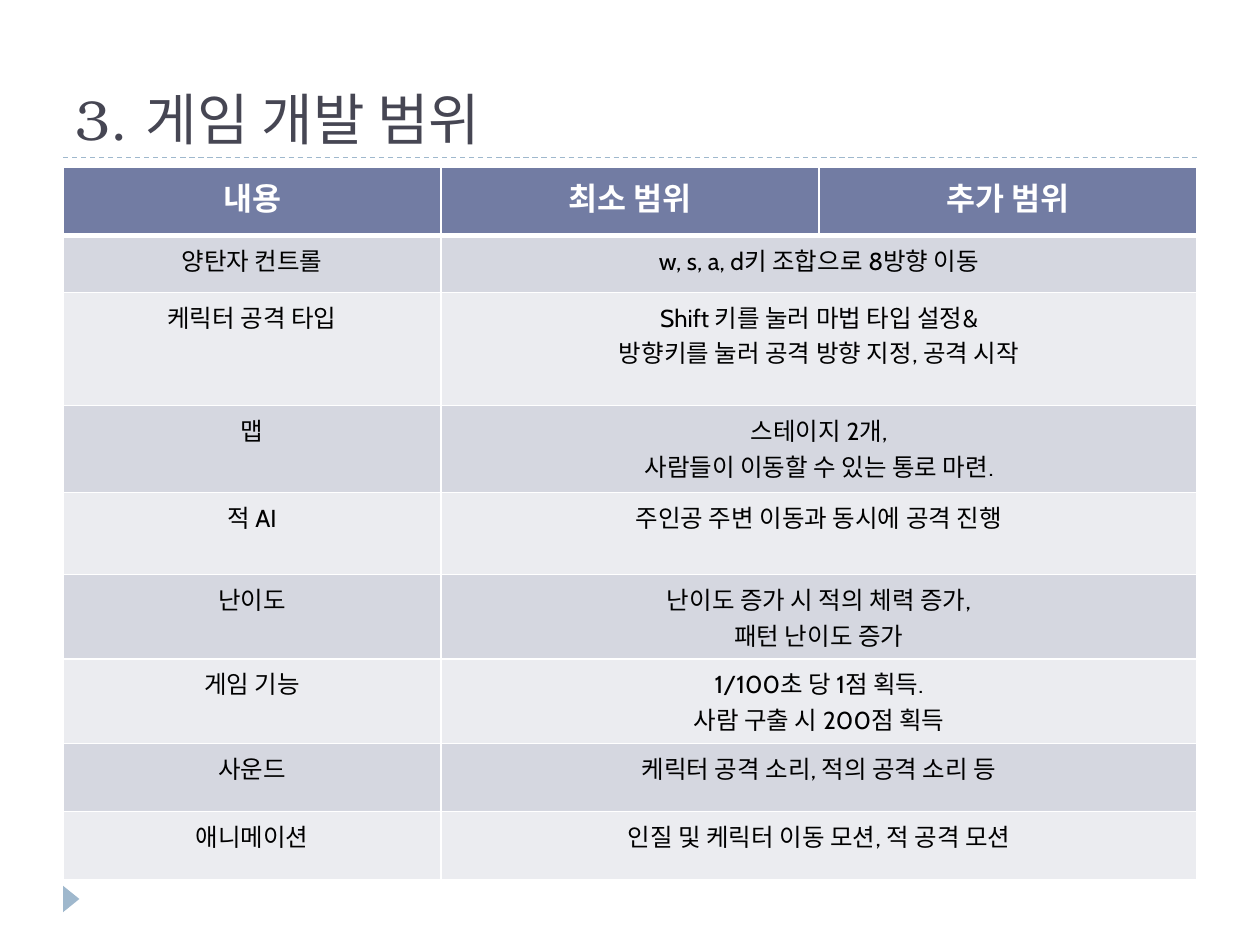
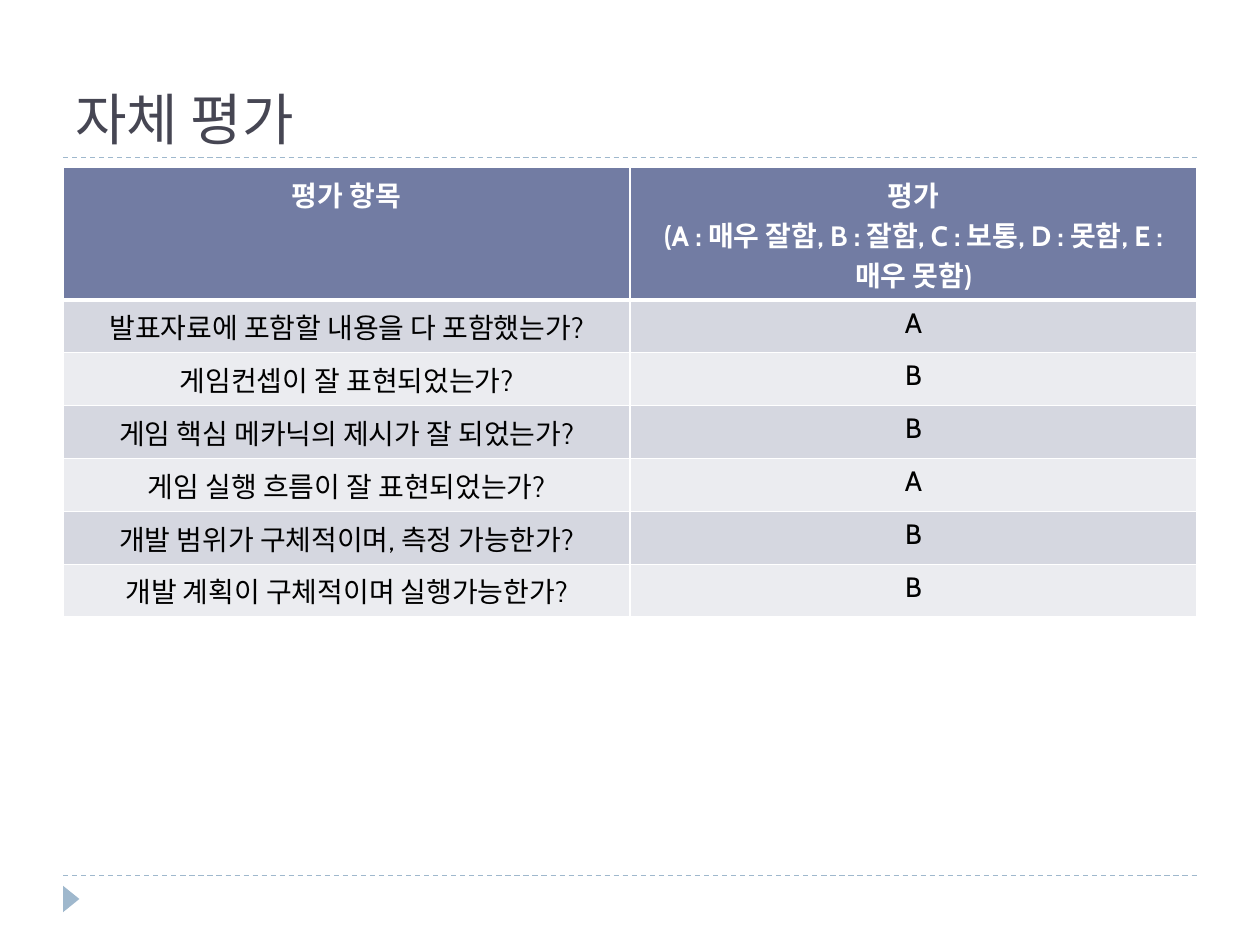
from dataclasses import dataclass

from lxml.etree import SubElement
from pptx import Presentation
from pptx.dml.color import RGBColor
from pptx.enum.dml import MSO_LINE
from pptx.enum.shapes import MSO_CONNECTOR, MSO_SHAPE
from pptx.enum.text import MSO_ANCHOR, PP_ALIGN
from pptx.oxml.ns import qn
from pptx.util import Inches, Pt


@dataclass(frozen=True)
class Theme:
    title_font: str = "TeX Gyre Bonum"
    body_font: str = "Cabin"
    title_color: str = "464653"
    accent: str = "9FB8CD"
    header_fill: str = "727CA3"
    bands: tuple[str, str] = ("D5D7E0", "EBECF0")
    header_text: str = "FFFFFF"
    body_text: str = "000000"
    border: str = "FFFFFF"
    title_size: float = 32
    rule_width: float = 0.75
    border_width: float = 1
    header_border_width: float = 3


@dataclass(frozen=True)
class TablePage:
    title: str
    header: tuple[str, ...]
    rows: tuple[tuple[str, ...], ...]
    heights: tuple[float, ...]
    header_size: float
    body_size: float


THEME = Theme()
LEFT, WIDTH = 0.5, 9
TITLE_TOP, TITLE_HEIGHT = 0.17, 1.08
RULE_YS = (6.95, 1.25)
TABLE_TOP = 1.33

PAGES = (
    TablePage(
        title="3. 게임 개발 범위",
        header=("내용", "최소 범위", "추가 범위"),
        rows=(
            ("양탄자 컨트롤", "w, s, a, d키 조합으로 8방향 이동"),
            ("케릭터 공격 타입",
             "Shift 키를 눌러 마법 타입 설정&\n방향키를 눌러 공격 방향 지정, 공격 시작"),
            ("맵", "스테이지 2개,\n사람들이 이동할 수 있는 통로 마련."),
            ("적 AI", "주인공 주변 이동과 동시에 공격 진행"),
            ("난이도", "난이도 증가 시 적의 체력 증가,\n패턴 난이도 증가"),
            ("게임 기능", "1/100초 당 1점 획득.\n사람 구출 시 200점 획득"),
            ("사운드", "케릭터 공격 소리, 적의 공격 소리 등"),
            ("애니메이션", "인질 및 케릭터 이동 모션, 적 공격 모션"),
        ),
        heights=(0.54, 0.45, 0.9, 0.69, 0.65, 0.67, 0.67, 0.54, 0.54),
        header_size=18,
        body_size=14,
    ),
    TablePage(
        title="자체 평가",
        header=("평가 항목",
                "평가\n(A : 매우 잘함, B : 잘함, C : 보통, D : 못함, E : 매우 못함)"),
        rows=(
            ("발표자료에 포함할 내용을 다 포함했는가?", "A"),
            ("게임컨셉이 잘 표현되었는가?", "B"),
            ("게임 핵심 메카닉의 제시가 잘 되었는가?", "B"),
            ("게임 실행 흐름이 잘 표현되었는가?", "A"),
            ("개발 범위가 구체적이며, 측정 가능한가?", "B"),
            ("개발 계획이 구체적이며 실행가능한가?", "B"),
        ),
        heights=(1.05,) + (0.42,) * 6,
        header_size=16,
        body_size=16,
    ),
)


def rgb(color: str) -> RGBColor:
    return RGBColor.from_string(color)


def style_text(tf, font: str, size: float, color: str,
               bold: bool = False, align=PP_ALIGN.LEFT) -> None:
    for p in tf.paragraphs:
        p.alignment = align
        for r in p.runs:
            r.font.name = font
            r.font.size = Pt(size)
            r.font.bold = bold
            r.font.color.rgb = rgb(color)


def add_frame(s) -> None:
    for y in RULE_YS:
        line = s.shapes.add_connector(
            MSO_CONNECTOR.STRAIGHT, Inches(LEFT), Inches(y),
            Inches(LEFT + WIDTH), Inches(y))
        line.line.color.rgb = rgb(THEME.accent)
        line.line.width = Pt(THEME.rule_width)
        line.line.dash_style = MSO_LINE.DASH
        SubElement(line._element.spPr, qn("a:effectLst"))
    sp = s.shapes.add_shape(MSO_SHAPE.ISOSCELES_TRIANGLE, Inches(0.46),
                            Inches(7.07), Inches(0.21), Inches(0.13))
    sp.rotation = 90
    sp.shadow.inherit = False
    sp.fill.solid()
    sp.fill.fore_color.rgb = rgb(THEME.accent)
    sp.line.fill.background()


def add_title(s, text: str) -> None:
    sp = s.shapes.add_textbox(Inches(LEFT), Inches(TITLE_TOP),
                              Inches(WIDTH), Inches(TITLE_HEIGHT))
    tf = sp.text_frame
    tf.word_wrap = True
    tf.vertical_anchor = MSO_ANCHOR.BOTTOM
    tf.text = text
    style_text(tf, THEME.title_font, THEME.title_size, THEME.title_color)


def set_borders(cell, row: int) -> None:
    tc_pr = cell._tc.get_or_add_tcPr()
    thick_side = {0: "B", 1: "T"}.get(row)
    for side in "LRTB":
        width = THEME.header_border_width if side == thick_side else THEME.border_width
        ln = SubElement(tc_pr, qn(f"a:ln{side}"), w=str(Pt(width)))
        fill = SubElement(ln, qn("a:solidFill"))
        SubElement(fill, qn("a:srgbClr"), val=THEME.border)


def add_page_table(s, page: TablePage) -> None:
    cols = len(page.header)
    tbl = s.shapes.add_table(
        len(page.heights), cols, Inches(LEFT), Inches(TABLE_TOP),
        Inches(WIDTH), Inches(sum(page.heights))).table
    tbl.horz_banding = False
    for col in tbl.columns:
        col.width = Inches(WIDTH / cols)

    for i, (height, texts) in enumerate(zip(page.heights, (page.header, *page.rows))):
        tbl.rows[i].height = Inches(height)
        is_header = i == 0
        fill = THEME.header_fill if is_header else THEME.bands[(i - 1) % 2]
        for j in range(cols):
            cell = tbl.cell(i, j)
            set_borders(cell, i)
            cell.fill.solid()
            cell.fill.fore_color.rgb = rgb(fill)
        if len(texts) < cols:
            tbl.cell(i, len(texts) - 1).merge(tbl.cell(i, cols - 1))
        for j, text in enumerate(texts):
            tf = tbl.cell(i, j).text_frame
            tf.text = text
            style_text(tf, THEME.body_font,
                       page.header_size if is_header else page.body_size,
                       THEME.header_text if is_header else THEME.body_text,
                       is_header, PP_ALIGN.CENTER)


def main() -> None:
    prs = Presentation()
    prs.slide_width, prs.slide_height = Inches(10), Inches(7.5)
    for page in PAGES:
        s = prs.slides.add_slide(prs.slide_layouts[6])
        add_frame(s)
        add_title(s, page.title)
        add_page_table(s, page)
    prs.save("out.pptx")


main()
